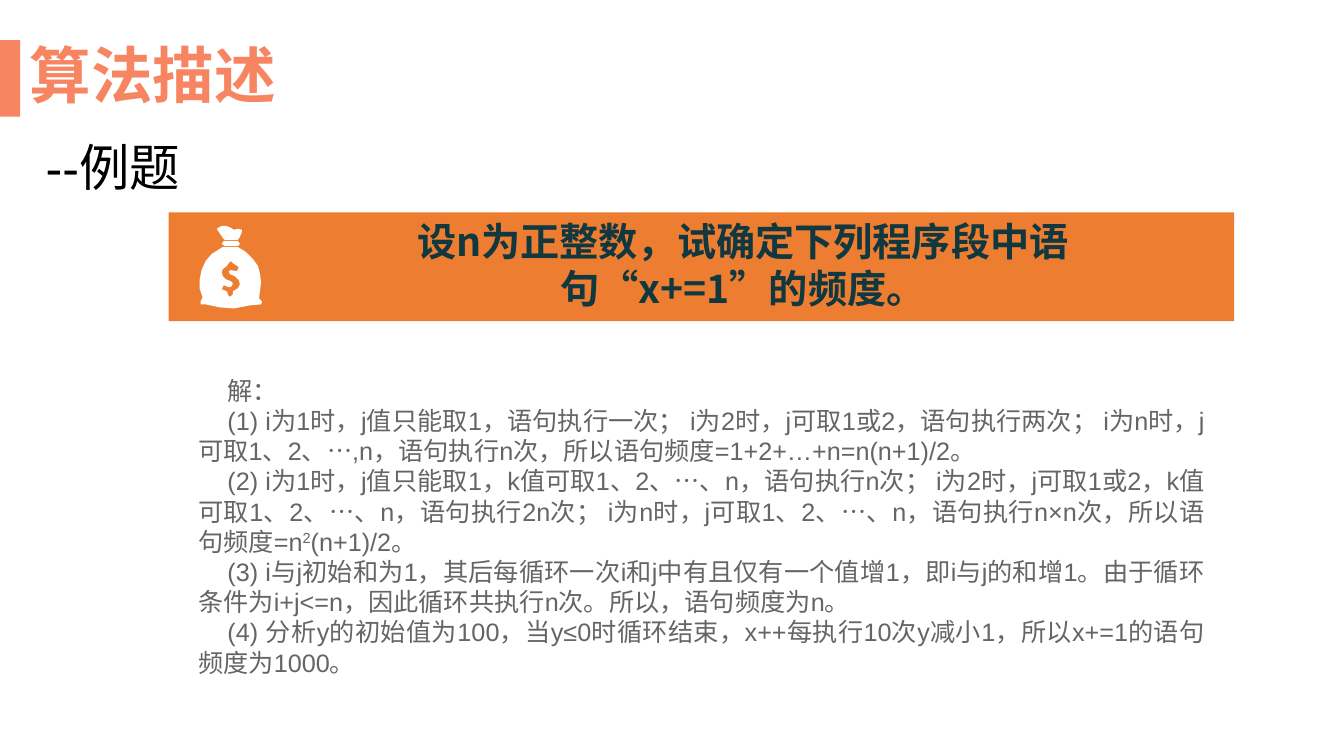
from pptx import Presentation
from pptx.dml.color import RGBColor
from pptx.enum.lang import MSO_LANGUAGE_ID
from pptx.enum.shapes import MSO_SHAPE
from pptx.enum.text import MSO_ANCHOR, PP_ALIGN
from pptx.oxml.ns import qn
from pptx.util import Pt
from lxml import etree

THEME = {
    "coral": "F88562", "orange": "ED7D31", "navy": "11373F",
    "black": "000000", "grey": "656565", "white": "FFFFFF",
    "latin": "Arial", "cjk": "Noto Sans CJK SC",
    "title": 44, "subtitle": 36, "question": 28, "answer": 18,
}

BARS = [
    ((0, 28.6, 14.4, 54.72), "coral"),
    ((120.5, 151.7, 761.04, 77.76), "orange"),
]

ANSWER = [
    ["解："],
    ["(1) i为1时，j值只能取1，语句执行一次； i为2时，j可取1或2，语句执行两次； "
     "i为n时，j可取1、2、…,n，语句执行n次，所以语句频度=1+2+…+n=n(n+1)/2。"],
    ["(2) i为1时，j值只能取1，k值可取1、2、…、n，语句执行n次； "
     "i为2时，j可取1或2，k值可取1、2、…、n，语句执行2n次； "
     "i为n时，j可取1、2、…、n，语句执行n×n次，所以语句频度=n",
     ("2", 30000), "(n+1)/2。"],
    ["(3) i与j初始和为1，其后每循环一次i和j中有且仅有一个值增1，即i与j的和增1。"
     "由于循环条件为i+j<=n，因此循环共执行n次。所以，语句频度为n。"],
    ["(4) 分析y的初始值为100，当y≤0时循环结束，x++每执行10次y减小1，"
     "所以x+=1的语句频度为1000。"],
]

TEXTS = [
    {"place": (14, 28.08, 624.96, 55.44), "paragraphs": [["算法描述"]],
     "size": "title", "color": "coral", "face": "latin", "bold": True,
     "frame": {"vertical_anchor": MSO_ANCHOR.MIDDLE},
     "paragraph": {"line_spacing": 0.9}, "indents": {}},
    {"place": (218.16, 151.7, 624.96, 74.88),
     "paragraphs": [["设n为正整数，试确定下列程序段中语句“x+=1”的频度。"]],
     "size": "question", "color": "navy", "face": "cjk", "bold": True,
     "frame": {}, "paragraph": {"alignment": PP_ALIGN.CENTER}, "indents": {}},
    {"place": (-10.4, 97.2, 557.28, 48.24), "paragraphs": [["--例题"]],
     "size": "subtitle", "color": "black", "face": "latin", "bold": False,
     "frame": {"vertical_anchor": MSO_ANCHOR.MIDDLE},
     "paragraph": {"line_spacing": 0.9}, "indents": {"marL": 36, "indent": 0}},
    {"place": (134.5, 264.24, 732.96, 225.36), "paragraphs": ANSWER,
     "size": "answer", "color": "grey", "face": "latin", "bold": False,
     "frame": {}, "paragraph": {"alignment": PP_ALIGN.JUSTIFY},
     "indents": {"marL": 0, "indent": 20.88}},
]

BAG_ORIGIN = (142.56, 160.56)
BAG_UNIT = 0.72
BAG_BODY = [
    (31, 22), (38, 22), (46, 27), (53, 34), (58, 41), (60, 49), (61, 57),
    (60, 65), (59, 73), (62, 76), (61, 79), (50, 80), (34, 83), (20, 82),
    (6, 79), (1, 79), (1, 76), (3, 72), (0, 63), (0, 55), (2, 45), (6, 36),
    (12, 29), (23, 22),
]
BAG_DOLLAR = [
    (31, 71), (33, 69), (33, 66), (38, 63), (40, 59), (39, 55), (35, 51),
    (30, 49), (29, 46), (31, 45), (37, 46), (39, 42), (36, 40), (33, 38),
    (31, 36), (29, 38), (27, 41), (23, 44), (22, 47), (23, 51), (26, 54),
    (31, 56), (33, 58), (32, 61), (29, 62), (24, 60), (22, 64), (27, 66),
    (29, 71),
]
BAG_TOP = [
    (17, 4), (22, 1), (26, 1), (31, 3), (34, 5), (38, 4), (42, 5), (42, 7),
    (40, 12), (38, 15), (25, 15), (23, 13),
]
BAG_TIE = [
    (31, 21), (25, 21), (22, 19), (24, 16), (31, 16), (38, 16), (40, 19),
    (38, 21),
]
BAG = [[BAG_BODY, BAG_DOLLAR], [BAG_TOP], [BAG_TIE]]


def paint(shape, color):
    shape.shadow.inherit = False
    shape.fill.solid()
    shape.fill.fore_color.rgb = RGBColor.from_string(THEME[color])
    shape.line.fill.background()


def draw_bag(slide):
    bag = slide.shapes.add_group_shape()
    for outline, *holes in BAG:
        builder = bag.shapes.build_freeform(*outline[0], scale=Pt(BAG_UNIT))
        builder.add_line_segments(outline[1:], close=True)
        for hole in holes:
            builder.move_to(*hole[0])
            builder.add_line_segments(hole[1:], close=True)
        paint(builder.convert_to_shape(*map(Pt, BAG_ORIGIN)), "white")


def write(slide, text):
    frame = slide.shapes.add_textbox(*map(Pt, text["place"])).text_frame
    for name, value in {"word_wrap": True, **text["frame"]}.items():
        setattr(frame, name, value)
    font_format = {
        "size": Pt(THEME[text["size"]]), "bold": text["bold"],
        "name": THEME[text["face"]],
        "language_id": MSO_LANGUAGE_ID.SIMPLIFIED_CHINESE,
    }
    for number, runs in enumerate(text["paragraphs"]):
        paragraph = frame.add_paragraph() if number else frame.paragraphs[0]
        for name, value in text["paragraph"].items():
            setattr(paragraph, name, value)
        for name, value in text["indents"].items():
            paragraph._p.get_or_add_pPr().set(name, str(Pt(value)))
        for part in runs:
            words, baseline = part if isinstance(part, tuple) else (part, 0)
            run = paragraph.add_run()
            run.text = words
            for name, value in font_format.items():
                setattr(run.font, name, value)
            run.font.color.rgb = RGBColor.from_string(THEME[text["color"]])
            properties = run._r.get_or_add_rPr()
            etree.SubElement(properties, qn("a:ea"), typeface=THEME["cjk"])
            if baseline:
                properties.set("baseline", str(baseline))


def main():
    deck = Presentation()
    deck.slide_width, deck.slide_height = Pt(960), Pt(540)
    slide = deck.slides.add_slide(deck.slide_layouts[6])
    for place, color in BARS:
        paint(slide.shapes.add_shape(MSO_SHAPE.RECTANGLE, *map(Pt, place)), color)
    draw_bag(slide)
    for text in TEXTS:
        write(slide, text)
    deck.save("out.pptx")


if __name__ == "__main__":
    main()
